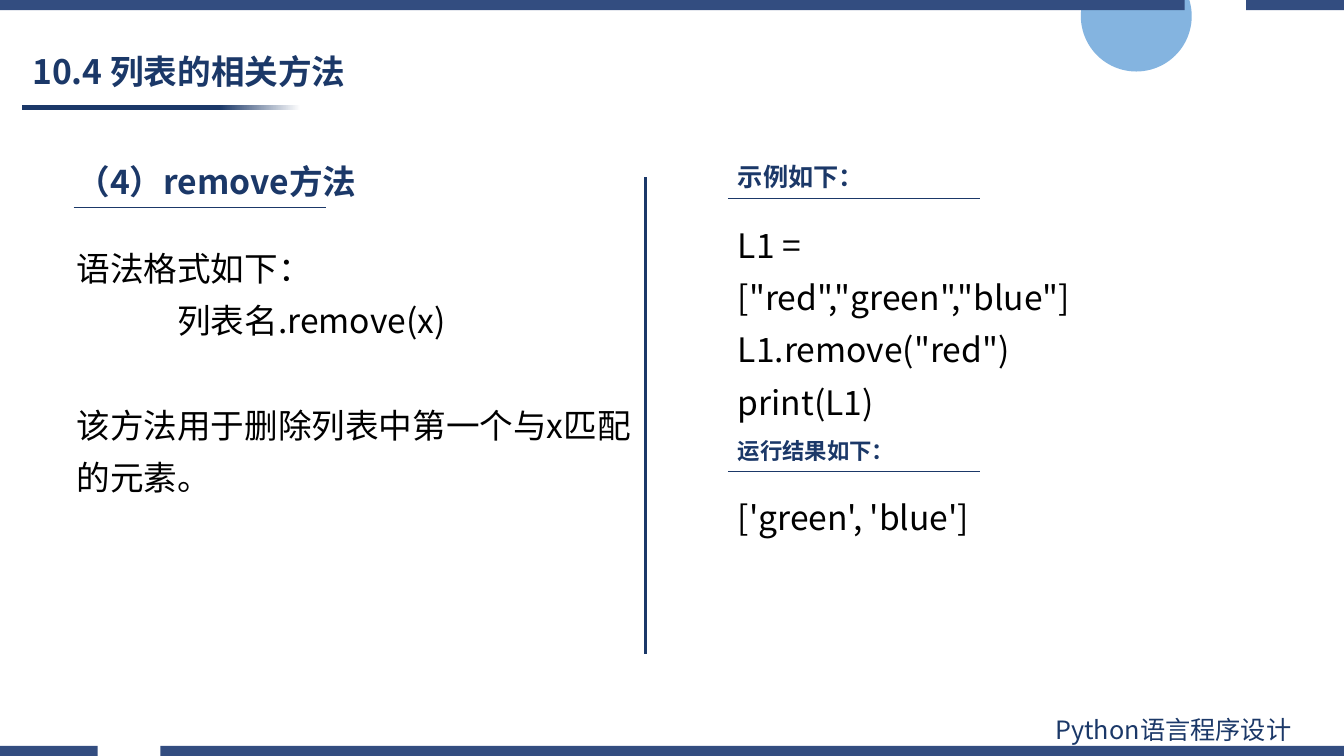
from lxml import etree
from pptx import Presentation
from pptx.dml.color import RGBColor
from pptx.enum.shapes import MSO_CONNECTOR as CONNECTOR, MSO_SHAPE as SHAPE
from pptx.enum.text import MSO_ANCHOR as ANCHOR, MSO_AUTO_SIZE as AUTO_SIZE, PP_ALIGN as ALIGN
from pptx.oxml.ns import qn
from pptx.util import Inches, Pt

FONT = "Noto Sans CJK SC"
NAVY, BAR_BLUE, BLACK, WHITE = "1B3868", "334D80", "000000", "FFFFFF"
WIDTH, HEIGHT = 13.33, 7.5
LEFT, RIGHT = 0.66, 7.22  # left edges of the two text columns
BAR = 0.1
LINE_PITCH = 37.4  # points taken by one body line


def write(shape, lines, size, color=NAVY, bold=False, spacing=1.0):
    """Fill the shape's text frame with one paragraph per line."""
    frame = shape.text_frame
    frame.word_wrap = True
    frame.auto_size = AUTO_SIZE.NONE
    frame.text = "\n".join(lines)
    for paragraph in frame.paragraphs:
        paragraph.alignment = ALIGN.LEFT
        paragraph.line_spacing = spacing
        for run in paragraph.runs:
            properties = run._r.get_or_add_rPr()
            etree.SubElement(properties, qn("a:ea"), typeface=FONT)
            run.font.name = FONT
            run.font.size = Pt(size)
            run.font.bold = bold
            run.font.color.rgb = RGBColor.from_string(color)
    return frame


presentation = Presentation()
presentation.slide_width, presentation.slide_height = Inches(WIDTH), Inches(HEIGHT)
slide = presentation.slides.add_slide(presentation.slide_layouts[5])
shapes = slide.shapes

# Circle, then the broken bars along the top and bottom edges
decorations = [(SHAPE.OVAL, 10.72, -0.39, 1.1, 1.1, "84B4E0")]
for top, gap_start, gap_end in [(0, 11.75, 12.36), (HEIGHT - BAR, 0.97, 1.59)]:
    for start, end in [(0, gap_start), (gap_end, WIDTH)]:
        decorations.append((SHAPE.RECTANGLE, start, top, end - start, BAR, BAR_BLUE))
decorations.append((SHAPE.RECTANGLE, 0.22, 1.04, 2.76, 0.05, None))

for kind, left, top, width, height, color in decorations:
    shape = shapes.add_shape(kind, Inches(left), Inches(top), Inches(width), Inches(height))
    shape.shadow.inherit = False
    shape.line.fill.background()
    if color:
        shape.fill.solid()
        shape.fill.fore_color.rgb = RGBColor.from_string(color)
    else:  # title underline fading out to the right
        shape.fill.gradient()
        shape.fill.gradient_angle = 0
        for stop, position, stop_color in zip(shape.fill.gradient_stops, (0.71, 1), (NAVY, WHITE)):
            stop.position = position
            stop.color.rgb = RGBColor.from_string(stop_color)

# Column divider and heading underlines
for x1, y1, x2, y2, weight in [
    (6.4, 1.76, 6.4, 6.49, 2),
    (0.73, 2.06, 3.23, 2.06, 0.5),
    (RIGHT, 1.97, RIGHT + 2.5, 1.97, 0.5),
    (RIGHT, 4.68, RIGHT + 2.5, 4.68, 0.5),
]:
    line = shapes.add_connector(CONNECTOR.STRAIGHT, Inches(x1), Inches(y1), Inches(x2), Inches(y2))
    line.line.color.rgb = RGBColor.from_string(NAVY)
    line.line.width = Pt(weight)
    etree.SubElement(line._element.spPr, qn("a:effectLst"))

title = shapes.title
title.left, title.top, title.width, title.height = map(Inches, (0.22, 0.45, 6.04, 0.56))
write(title, ["10.4 列表的相关方法"], 24, bold=True, spacing=0.9).vertical_anchor = ANCHOR.MIDDLE

syntax = ["语法格式如下：", "列表名.remove(x)", "该方法用于删除列表中第一个与x匹配的元素。"]
code = ['L1 = ["red","green","blue"]', 'L1.remove("red")', "print(L1)"]
frames = []
for left, top, width, height, lines, size, color, bold, spacing in [
    (LEFT, 2.29, 5.71, 2.73, syntax, 24, BLACK, False, 1.3),
    (RIGHT, 2.06, 3.95, 2.2, code, 24, BLACK, False, 1.3),
    (RIGHT, 4.88, 5.42, 0.5, ["['green', 'blue']"], 24, BLACK, False, 1.0),
    (LEFT, 1.55, 3.4, 0.5, ["（4）remove方法"], 24, NAVY, True, 1.0),
    (RIGHT, 1.55, 3.4, 0.4, ["示例如下："], 18, NAVY, True, 1.0),
    (RIGHT, 4.29, 3.4, 0.37, ["运行结果如下："], 16, NAVY, True, 1.0),
    (10.37, 7.04, 2.94, 0.4, ["Python语言程序设计"], 18, NAVY, False, 1.0),
]:
    box = shapes.add_textbox(Inches(left), Inches(top), Inches(width), Inches(height))
    frames.append(write(box, lines, size, color, bold, spacing))

# Indent the syntax line and set the explanation one line lower
_, syntax_line, explanation = frames[0].paragraphs
syntax_line._p.get_or_add_pPr().set("indent", str(Inches(1)))
explanation.space_before = Pt(LINE_PITCH)

presentation.save("out.pptx")
